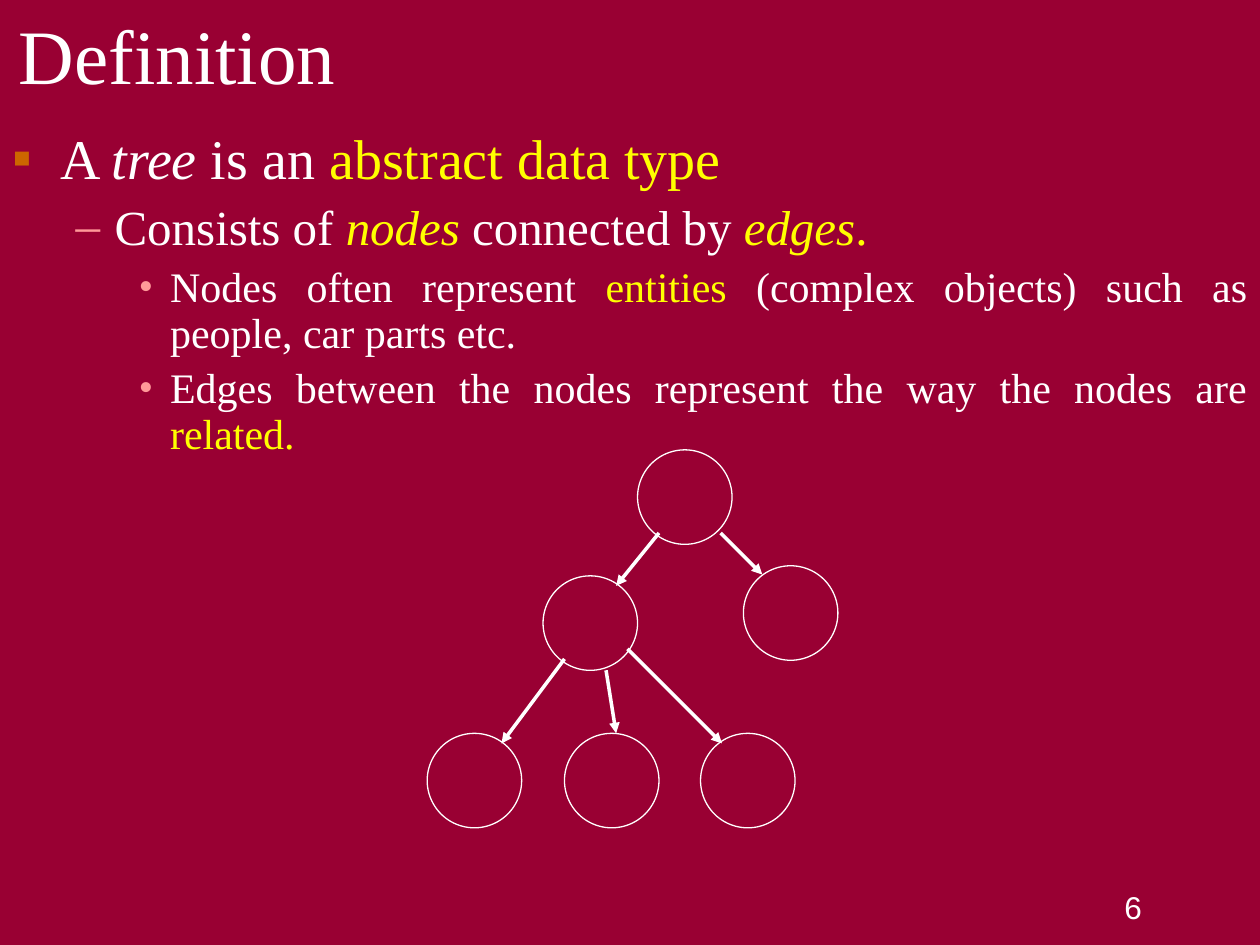
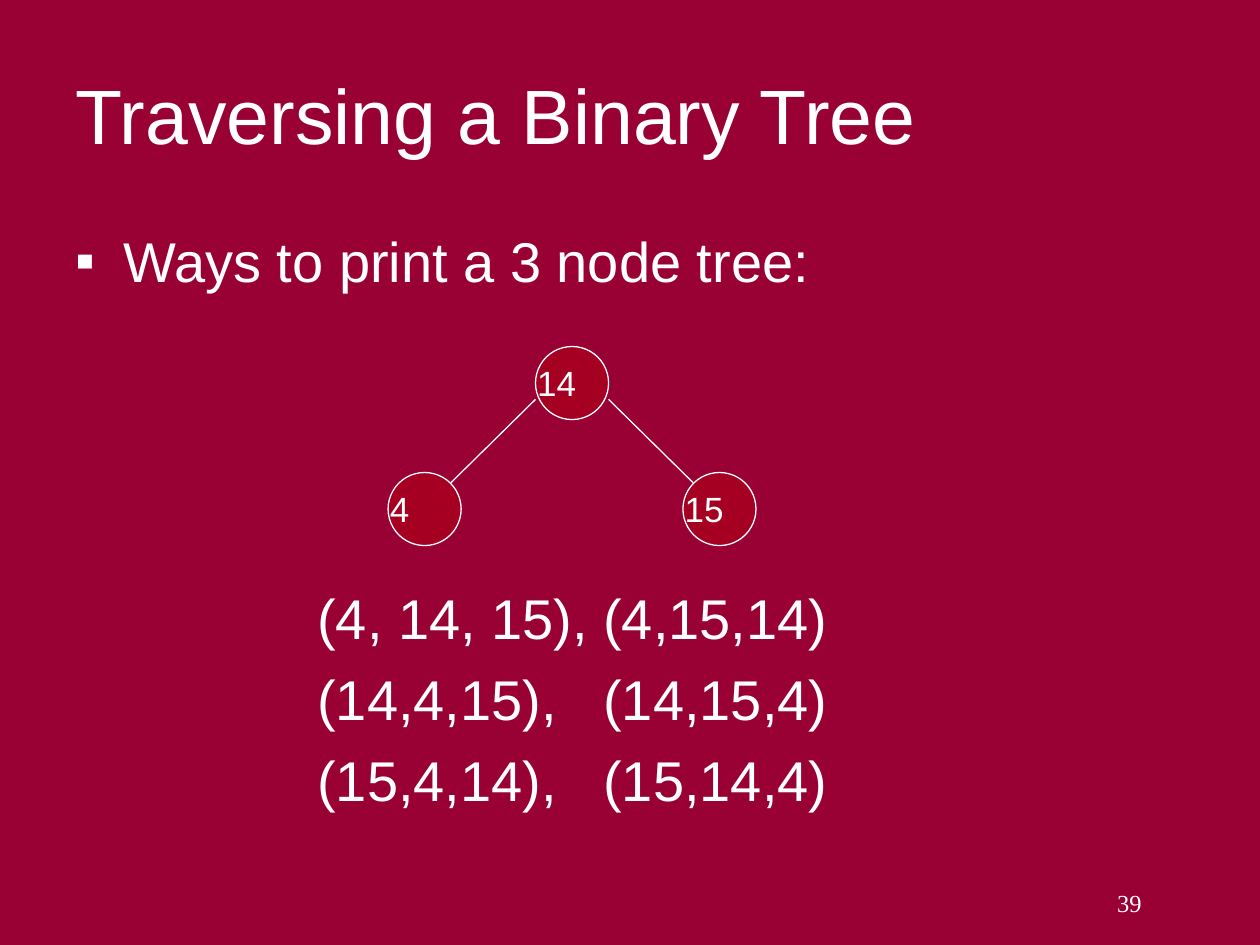
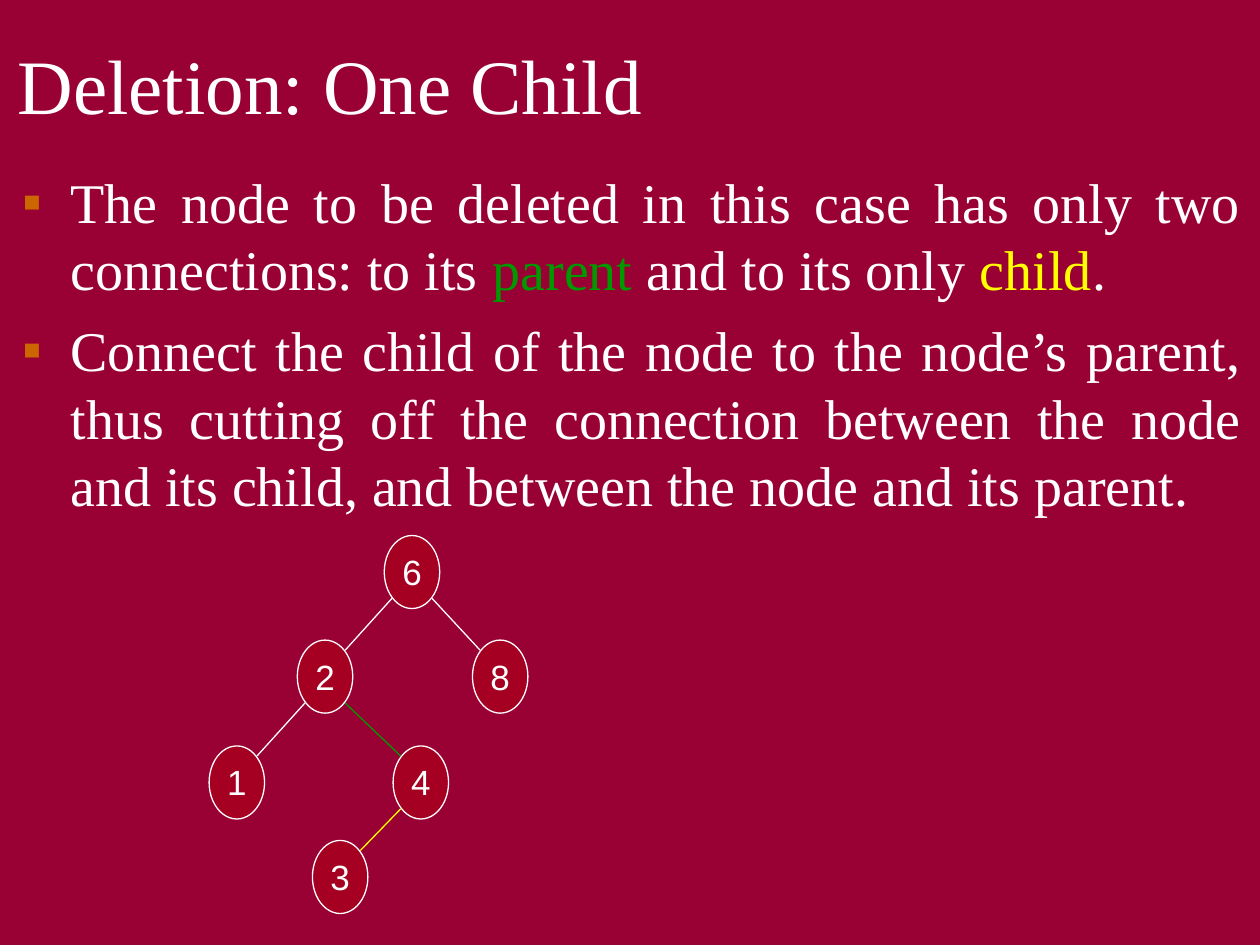
from dataclasses import dataclass

from lxml import etree
from pptx import Presentation
from pptx.dml.color import RGBColor
from pptx.enum.shapes import MSO_CONNECTOR, MSO_SHAPE
from pptx.enum.text import MSO_ANCHOR, MSO_AUTO_SIZE, PP_ALIGN
from pptx.oxml.ns import qn
from pptx.util import Inches, Pt

LEFT, CENTER, RIGHT, JUSTIFY = PP_ALIGN.LEFT, PP_ALIGN.CENTER, PP_ALIGN.RIGHT, PP_ALIGN.JUSTIFY
TOP, MIDDLE = MSO_ANCHOR.TOP, MSO_ANCHOR.MIDDLE
NO_AUTOFIT = MSO_AUTO_SIZE.NONE
ELLIPSE, STRAIGHT = MSO_SHAPE.OVAL, MSO_CONNECTOR.STRAIGHT


@dataclass(frozen=True)
class Theme:
    background: str = "990033"
    text: str = "FFFFFF"
    highlight: str = "FFFF00"
    parent: str = "009900"
    node: str = "A50021"
    bullet: str = "CC6600"
    sub_bullet: str = "FF9999"
    serif: str = "Times New Roman"
    sans: str = "Arial"
    title_size: int = 44
    body_sizes: tuple = (32, 28, 24)
    label_size: int = 20


THEME = Theme()
# Per list level: left margin, hanging indent, line spacing, space before, bullet
LEVELS = [(0.38, -0.38, 1.0, 8, "▪"), (0.81, -0.31, 0.9, 7, "–"), (1.25, -0.25, 0.9, 6, "•")]


def write_runs(paragraph, runs, font, size, align=LEFT):
    """Add runs given as text or as (text, colour, italic)."""
    paragraph.alignment = align
    for part in runs:
        text, color, italic = (part, THEME.text, False) if isinstance(part, str) else part
        run = paragraph.add_run()
        run.text = text
        run.font.name = font
        run.font.size = Pt(size)
        run.font.italic = italic
        run.font.color.rgb = RGBColor.from_string(color)


def add_label(slide, box, text, font, size, align):
    frame = slide.shapes.add_textbox(*map(Inches, box)).text_frame
    frame.word_wrap = True
    write_runs(frame.paragraphs[0], [text], font, size, align)
    return frame


# Definition: a general tree with arrows
general_nodes = [(x, y, "") for x, y in
                 [(5.9, 4.49), (5.06, 3.57), (4.31, 4.57), (3.39, 5.82), (4.48, 5.82), (5.56, 5.82)]]
general_edges = [(*ends, THEME.text) for ends in
                 [(5.23, 4.23, 4.89, 4.65), (5.72, 4.23, 6.05, 4.56), (4.48, 5.23, 3.98, 5.9),
                  (4.81, 5.32, 4.89, 5.82), (4.98, 5.15, 5.73, 5.9)]]

# Traversal: a root with one child on each side
root_center = 4.54
three_nodes = [(4.25, 2.75, "14"), (3.08, 3.75, "4"), (5.42, 3.75, "15")]
three_edges = [(root_center + side * 0.29, 3.17, root_center + side * 0.96, 3.83, THEME.text)
               for side in (-1, 1)]

# Deletion: a search tree whose edges leave and enter the nodes at fixed offsets
search_places = {"6": (3.05, 4.25), "2": (2.36, 5.08), "4": (3.12, 5.92),
                 "3": (2.48, 6.67), "1": (1.66, 5.92), "8": (3.75, 5.08)}
search_nodes = [(x, y, key) for key, (x, y) in search_places.items()]
search_edges = []
for parent, child, color in [("6", "2", THEME.text), ("2", "4", THEME.parent), ("2", "1", THEME.text),
                             ("4", "3", THEME.highlight), ("6", "8", THEME.text)]:
    (parent_x, parent_y), (child_x, child_y) = search_places[parent], search_places[child]
    side = 0.16 if child_x > parent_x else -0.16
    search_edges.append((parent_x + 0.22 + side, parent_y + 0.5,
                         child_x + 0.22 - side, child_y + 0.08, color))

LESSONS = [
    dict(title="Definition", title_box=(0.05, -0.04, 8.5, 0.93), body_box=(0, 0.93, 10, 6),
         font=THEME.serif, align=JUSTIFY, bullets=(THEME.bullet, THEME.sub_bullet, THEME.sub_bullet),
         number=("6", THEME.sans, 18),
         points=[
             (0, ["A ", ("tree", THEME.text, True), " is an ",
                  ("abstract data type", THEME.highlight, False)]),
             (1, ["Consists of ", ("nodes", THEME.highlight, True), " connected by ",
                  ("edges", THEME.highlight, True), (".", THEME.highlight, False)]),
             (2, ["Nodes often represent ", ("entities", THEME.highlight, False),
                  " (complex objects) such as people, car parts etc."]),
             (2, ["Edges between the nodes represent the way the nodes are ",
                  ("related.", THEME.highlight, False)]),
         ],
         nodes=general_nodes, node_size=(0.75, 0.75), node_fill=None,
         edges=general_edges, edge_width=2, arrows=True),
    dict(title="Traversing a Binary Tree", title_box=(0.5, 0.4, 9, 1), body_box=(0.5, 1.75, 9, 1),
         font=THEME.sans, align=LEFT, bullets=(THEME.text,), number=("39", THEME.serif, 14),
         points=[(0, ["Ways to print a 3 node tree:"])],
         nodes=three_nodes, node_size=(0.58, 0.58), node_fill=THEME.node,
         label_width=0.75, label_align=LEFT,
         edges=three_edges, edge_width=0.75, arrows=False),
    dict(title="Deletion: One Child", title_box=(0.04, 0.04, 8.5, 1.25),
         body_box=(0.08, 1.28, 9.88, 2.97),
         font=THEME.serif, align=JUSTIFY, bullets=(THEME.bullet,), number=None,
         points=[
             (0, ["The node to be deleted in this case has only two connections: to its ",
                  ("parent", THEME.parent, False), " and to its only ",
                  ("child", THEME.highlight, False), "."]),
             (0, ["Connect the child of the node to the node’s parent, thus cutting off the "
                  "connection between the node and its child, and between the node and its parent."]),
         ],
         nodes=search_nodes, node_size=(0.44, 0.58), node_fill=THEME.node,
         label_width=0.57, label_align=CENTER,
         edges=search_edges, edge_width=0.75, arrows=False),
]

prs = Presentation()
prs.slide_width, prs.slide_height = Inches(10), Inches(7.5)
backdrop = prs.slide_master.background.fill
backdrop.solid()
backdrop.fore_color.rgb = RGBColor.from_string(THEME.background)

for lesson in LESSONS:
    slide = prs.slides.add_slide(prs.slide_layouts[1])
    title, body = slide.shapes.title, slide.placeholders[1]
    for holder, box, anchor in [(title, lesson["title_box"], MIDDLE), (body, lesson["body_box"], TOP)]:
        holder.left, holder.top, holder.width, holder.height = map(Inches, box)
        holder.text_frame.auto_size = NO_AUTOFIT
        holder.text_frame.vertical_anchor = anchor
    write_runs(title.text_frame.paragraphs[0], [lesson["title"]], lesson["font"], THEME.title_size)

    for index, (level, runs) in enumerate(lesson["points"]):
        point = body.text_frame.add_paragraph() if index else body.text_frame.paragraphs[0]
        margin, hanging, spacing, before, bullet = LEVELS[level]
        point.level = level
        properties = point._p.get_or_add_pPr()
        properties.set("marL", str(Inches(margin)))
        properties.set("indent", str(Inches(hanging)))
        bullet_color = etree.SubElement(properties, qn("a:buClr"))
        etree.SubElement(bullet_color, qn("a:srgbClr"), val=lesson["bullets"][level])
        etree.SubElement(properties, qn("a:buFont"), typeface=lesson["font"])
        etree.SubElement(properties, qn("a:buChar"), char=bullet)
        point.line_spacing = spacing
        point.space_before = Pt(before if index else 0)
        write_runs(point, runs, lesson["font"], THEME.body_sizes[level], lesson["align"])

    node_width, node_height = lesson["node_size"]
    for x, y, key in lesson["nodes"]:
        node = slide.shapes.add_shape(ELLIPSE, *map(Inches, (x, y, node_width, node_height)))
        node.shadow.inherit = False
        node.line.color.rgb = RGBColor.from_string(THEME.text)
        node.line.width = Pt(0.75)
        if lesson["node_fill"]:
            node.fill.solid()
            node.fill.fore_color.rgb = RGBColor.from_string(lesson["node_fill"])
        else:
            node.fill.background()
        if key:
            label_left = x + (node_width - lesson["label_width"]) / 2
            add_label(slide, (label_left, y + 0.07, lesson["label_width"], 0.44), key,
                      THEME.sans, THEME.label_size, lesson["label_align"])

    for *ends, color in lesson["edges"]:
        edge = slide.shapes.add_connector(STRAIGHT, *map(Inches, ends))
        edge.line.color.rgb = RGBColor.from_string(color)
        edge.line.width = Pt(lesson["edge_width"])
        if lesson["arrows"]:
            etree.SubElement(edge.line._get_or_add_ln(), qn("a:tailEnd"), type="triangle")
        etree.SubElement(edge._element.spPr, qn("a:effectLst"))

    if lesson["number"]:
        number, number_font, number_size = lesson["number"]
        add_label(slide, (7.08, 7, 2.08, 0.5), number, number_font, number_size, RIGHT)

# The six print orders, in two columns held by a tab stop
orders = [("(4, 14, 15),", "(4,15,14)"), ("(14,4,15),", "(14,15,4)"), ("(15,4,14),", "(15,14,4)")]
order_frame = prs.slides[1].shapes.add_textbox(*map(Inches, (2.42, 4.58, 5.67, 2.25))).text_frame
order_frame.word_wrap = True
for index, pair in enumerate(orders):
    row = order_frame.add_paragraph() if index else order_frame.paragraphs[0]
    tabs = etree.SubElement(row._p.get_or_add_pPr(), qn("a:tabLst"))
    etree.SubElement(tabs, qn("a:tab"), pos=str(Inches(2.27)), algn="l")
    row.space_before = Pt(8 if index else 0)
    write_runs(row, ["\t".join(pair)], THEME.sans, THEME.body_sizes[0])

prs.save("out.pptx")
